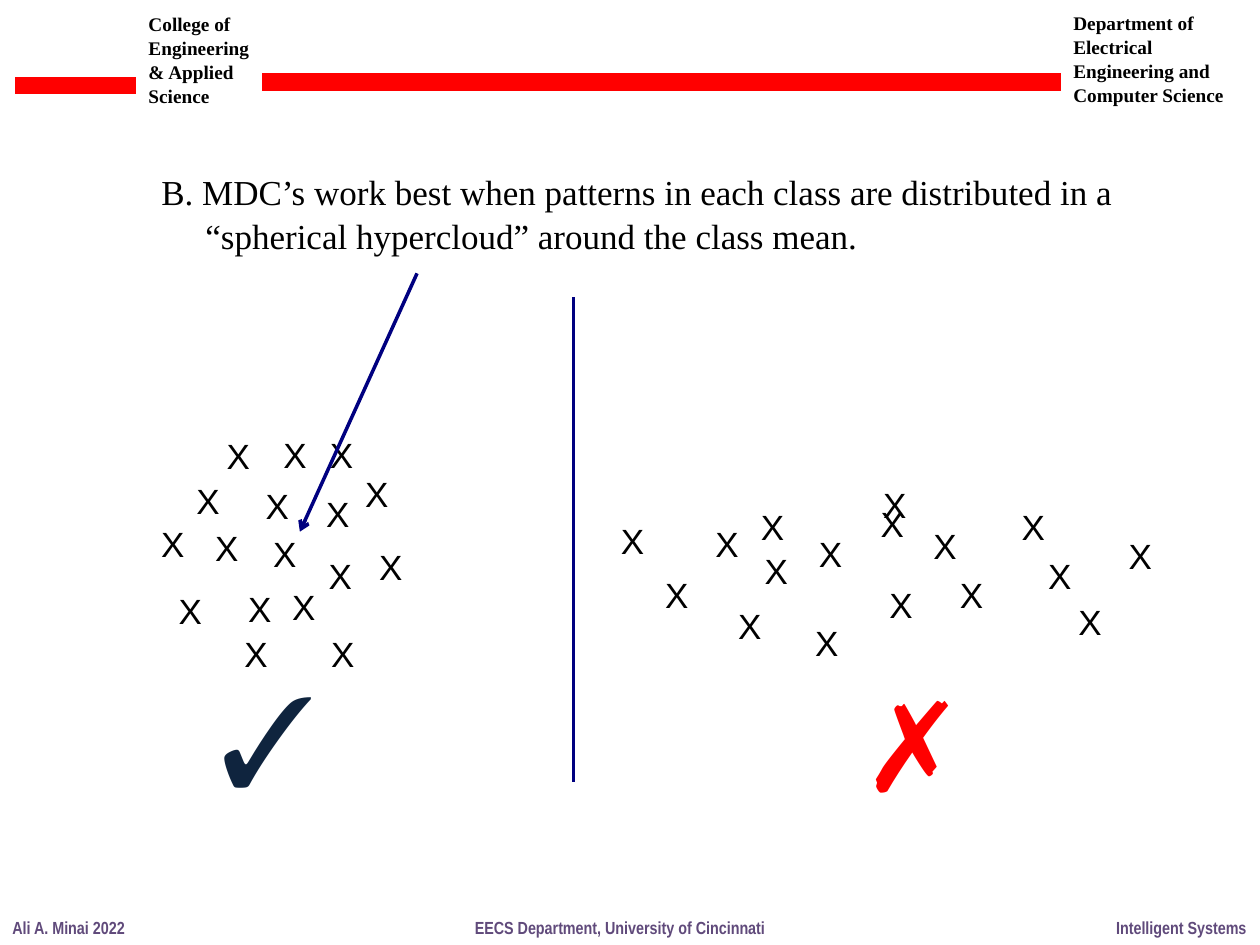
from dataclasses import dataclass

from lxml import etree
from pptx import Presentation
from pptx import util as u
from pptx.dml.color import RGBColor
from pptx.enum import shapes, text
from pptx.oxml import ns


@dataclass(frozen=True)
class Theme:
    black: str = "000000"
    red: str = "FF0000"
    navy: str = "000080"
    check: str = "0F243E"
    purple: str = "604A7B"
    serif: str = "Times New Roman"
    sans: str = "Arial"
    narrow: str = "Arial Narrow"
    body: int = 20
    header: int = 11
    footer: int = 10
    symbol: int = 72


THEME = Theme()
HEADER = {"name": THEME.serif, "size": THEME.header, "color": THEME.black, "bold": True}
FOOTER = {"name": THEME.narrow, "size": THEME.footer, "color": THEME.purple, "bold": True}
BODY = {"name": THEME.serif, "size": THEME.body, "color": THEME.black, "bold": False}
POINT = {**BODY, "name": THEME.sans}
CHECK = {**BODY, "size": THEME.symbol, "color": THEME.check}
CROSS = {**CHECK, "color": THEME.red}

TITLE = [
    "B. MDC’s work best when patterns in each class are distributed in a",
    "“spherical hypercloud” around the class mean.",
]
HEADERS = [
    (["College of  Engineering & Applied", "Science"], (1.08, 0.04, 1.09, 0.84)),
    (["Department of Electrical Engineering and Computer Science"], (8.42, 0.03, 1.47, 0.84)),
]
FOOTERS = [
    ("Ali A. Minai 2022", (0, 7.23, 1.1, 0.27)),
    ("EECS Department, University of Cincinnati", (3.67, 7.23, 2.52, 0.27)),
    ("Intelligent Systems", (8.76, 7.23, 1.24, 0.27)),
]
COMPACT_CLASS = [
    (1.7, 3.4), (2.15, 3.39), (2.52, 3.39), (2.8, 3.7),
    (1.46, 3.76), (2.01, 3.8), (2.49, 3.86), (1.18, 4.1),
    (1.61, 4.13), (2.07, 4.18), (2.91, 4.28), (2.51, 4.35),
    (1.32, 4.63), (1.87, 4.61), (2.22, 4.6), (1.84, 4.97), (2.53, 4.97),
]
SPREAD_CLASS = [
    (6.91, 3.79), (6.96, 4.58), (6.4, 4.18), (6.37, 4.88),
    (5.76, 4.75), (5.97, 4.31), (5.94, 3.96), (5.58, 4.1),
    (7.31, 4.11), (7.52, 4.5), (8.01, 3.96), (8.22, 4.35),
    (8.46, 4.72), (5.18, 4.5), (4.83, 4.07), (8.86, 4.19), (6.89, 3.94),
]


def write(box, lines, style, wrap=True, spacing=1.0):
    frame = box.text_frame
    settings = {
        "word_wrap": wrap,
        "auto_size": text.MSO_AUTO_SIZE.NONE,
        "vertical_anchor": text.MSO_ANCHOR.TOP,
    }
    for name, value in settings.items():
        setattr(frame, name, value)
    for index, line in enumerate(lines):
        para = frame.add_paragraph() if index else frame.paragraphs[0]
        para.alignment = text.PP_ALIGN.LEFT
        para.line_spacing = spacing
        span = para.add_run()
        span.text = line
        values = {"name": style["name"], "size": u.Pt(style["size"]), "bold": style["bold"]}
        for name, value in values.items():
            setattr(span.font, name, value)
        span.font.color.rgb = RGBColor.from_string(style["color"])


def add_text(page, lines, place, style, **options):
    box = page.shapes.add_textbox(*map(u.Inches, place))
    write(box, lines, style, **options)


def add_title(page, place):
    title = page.shapes.title
    for name, value in zip(("left", "top", "width", "height"), place):
        setattr(title, name, u.Inches(value))
    write(title, TITLE, BODY, wrap=False, spacing=1.04)
    indent = title.text_frame.paragraphs[1]._p.get_or_add_pPr()
    indent.set("marL", str(u.Inches(0.35)))


def add_line(page, start, end, color, width, arrow=False):
    line = page.shapes.add_connector(
        shapes.MSO_CONNECTOR.STRAIGHT, *map(u.Inches, (*start, *end)))
    line.line.color.rgb = RGBColor.from_string(color)
    line.line.width = u.Pt(width)
    if arrow:
        etree.SubElement(line.line._get_or_add_ln(), ns.qn("a:tailEnd"), type="arrow")
    etree.SubElement(line._element.spPr, ns.qn("a:effectLst"))


def add_points(page, points):
    for left, top in points:
        add_text(page, ["X"], (left, top, 0.45, 0.44), POINT)


def main():
    deck = Presentation()
    deck.slide_width, deck.slide_height = u.Inches(10), u.Inches(7.5)
    page = deck.slides.add_slide(deck.slide_layouts[5])

    for lines, place in HEADERS:
        add_text(page, lines, place, HEADER, spacing=1.04)
    add_line(page, (0.12, 0.68), (1.08, 0.68), THEME.red, 10)
    add_line(page, (2.08, 0.65), (8.42, 0.65), THEME.red, 10)
    for line, place in FOOTERS:
        add_text(page, [line], place, FOOTER, wrap=False)

    add_title(page, (1.18, 1.29, 7.87, 0.77))
    add_points(page, COMPACT_CLASS)
    add_points(page, SPREAD_CLASS)
    add_line(page, (3.31, 2.17), (2.38, 4.22), THEME.navy, 2, arrow=True)
    add_line(page, (4.55, 2.36), (4.55, 6.21), THEME.navy, 2)
    add_text(page, ["✓"], (1.65, 5.19, 1, 1.31), CHECK, wrap=False)
    add_text(page, ["✗"], (6.86, 5.18, 0.84, 1.31), CROSS, wrap=False)
    deck.save("out.pptx")


if __name__ == "__main__":
    main()
